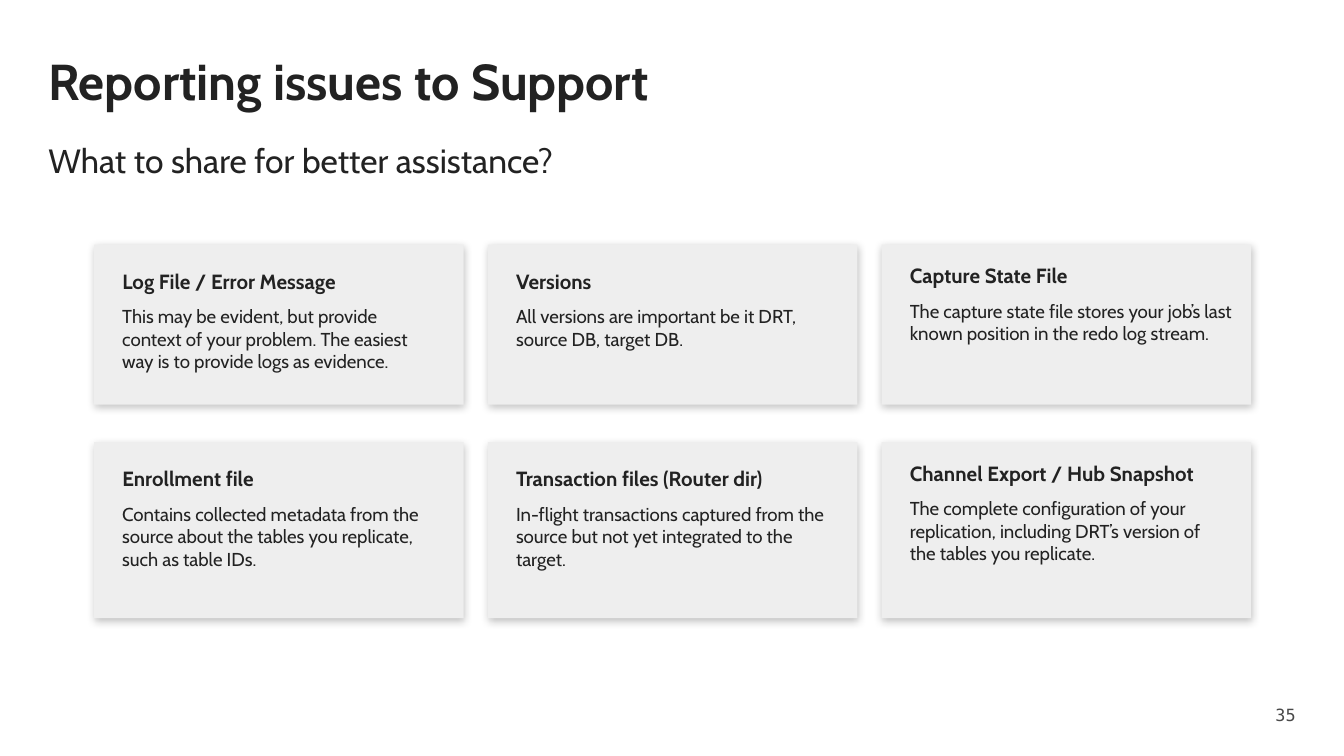
from lxml import etree
from pptx import Presentation
from pptx.dml.color import RGBColor
from pptx.enum import shapes, text
from pptx.oxml import ns
from pptx.util import Inches, Pt

COLORS = {"ink": "222222", "card": "EEEEEE", "number": "494949", "shadow": "000000"}

HEADING_WIDTH = 2.41
BODY_WIDTH = 2.36
CARD_LEFT, CARD_WIDTH, COLUMN_GAP = 0.7, 2.75, 0.18
TEXT_INDENT = 0.21
BODY_DROP = 0.27
HEADING_DROPS = [0.18, 0.18, 0.14]

ROWS = [
    (1.82, 1.19, [
        ("Log File / Error Message",
         "This may be evident, but provide context of your problem. "
         "The easiest way is to provide logs as evidence.", BODY_WIDTH),
        ("Versions",
         "All versions are important be it DRT, source DB, target DB.", HEADING_WIDTH),
        ("Capture State File",
         "The capture state file stores your job’s last known position "
         "in the redo log stream.", HEADING_WIDTH),
    ]),
    (3.29, 1.31, [
        ("Enrollment file",
         "Contains collected metadata from the source about the tables "
         "you replicate, such as table IDs.", BODY_WIDTH),
        ("Transaction files (Router dir)",
         "In-flight transactions captured from the source but not yet "
         "integrated to the target.", BODY_WIDTH),
        ("Channel Export / Hub Snapshot",
         "The complete configuration of your replication, including "
         "DRT’s version of the tables you replicate.", BODY_WIDTH),
    ]),
]


class SlideBuilder:
    font = "Cabin"

    def __init__(self, slide):
        self.slide = slide

    def color(self, name):
        return RGBColor.from_string(COLORS[name])

    def label(self, content, left, top, width, height, size, bold=False,
              color="ink", font=None, align=text.PP_ALIGN.LEFT,
              anchor=text.MSO_ANCHOR.TOP):
        shape = self.slide.shapes.add_textbox(
            Inches(left), Inches(top), Inches(width), Inches(height))
        frame = shape.text_frame
        frame.word_wrap = True
        frame.margin_left = frame.margin_right = 0
        frame.margin_top = frame.margin_bottom = 0
        frame.vertical_anchor = anchor
        frame.text = content
        paragraph = frame.paragraphs[0]
        paragraph.alignment = align
        run_font = paragraph.runs[0].font
        run_font.name = font or self.font
        run_font.size = Pt(size)
        run_font.bold = bold
        run_font.color.rgb = self.color(color)

    def panel(self, left, top, width, height):
        shape = self.slide.shapes.add_shape(
            shapes.MSO_SHAPE.RECTANGLE,
            Inches(left), Inches(top), Inches(width), Inches(height))
        shape.fill.solid()
        shape.fill.fore_color.rgb = self.color("card")
        shape.line.fill.background()
        shape.shadow.inherit = False
        effects = shape._element.spPr.find(ns.qn("a:effectLst"))
        shadow = etree.SubElement(
            effects, ns.qn("a:outerShdw"), blurRad=str(Pt(4.5)), dist=str(Pt(1.5)),
            dir=str(76 * 60000), algn="bl", rotWithShape="0")
        tint = etree.SubElement(shadow, ns.qn("a:srgbClr"), val=COLORS["shadow"])
        etree.SubElement(tint, ns.qn("a:alpha"), val="23000")

    def card(self, left, top, height, heading, body, body_width, heading_drop):
        self.panel(left, top, CARD_WIDTH, height)
        text_left = left + TEXT_INDENT
        text_top = top + heading_drop
        self.label(heading, text_left, text_top, HEADING_WIDTH, 0.22, 11, bold=True)
        self.label(body, text_left, text_top + BODY_DROP, body_width, 0.38, 10)


def main():
    presentation = Presentation()
    presentation.slide_width = Inches(10)
    presentation.slide_height = Inches(10 * 9 / 16)
    builder = SlideBuilder(presentation.slides.add_slide(presentation.slide_layouts[6]))

    builder.label("35", 9.39, 5.16, 0.25, 0.31, 9, color="number",
                  font="DejaVu Sans Mono", align=text.PP_ALIGN.RIGHT,
                  anchor=text.MSO_ANCHOR.MIDDLE)
    for top, height, cards in ROWS:
        for column, (heading, body, body_width) in enumerate(cards):
            left = CARD_LEFT + column * (CARD_WIDTH + COLUMN_GAP)
            builder.card(left, top, height, heading, body, body_width,
                         HEADING_DROPS[column])
    builder.label("Reporting issues to Support", 0.36, 0.37, 6.57, 0.45, 27, bold=True)
    builder.label("What to share for better assistance?", 0.36, 1.04, 5.98, 0.3, 18)

    presentation.save("out.pptx")


if __name__ == "__main__":
    main()
